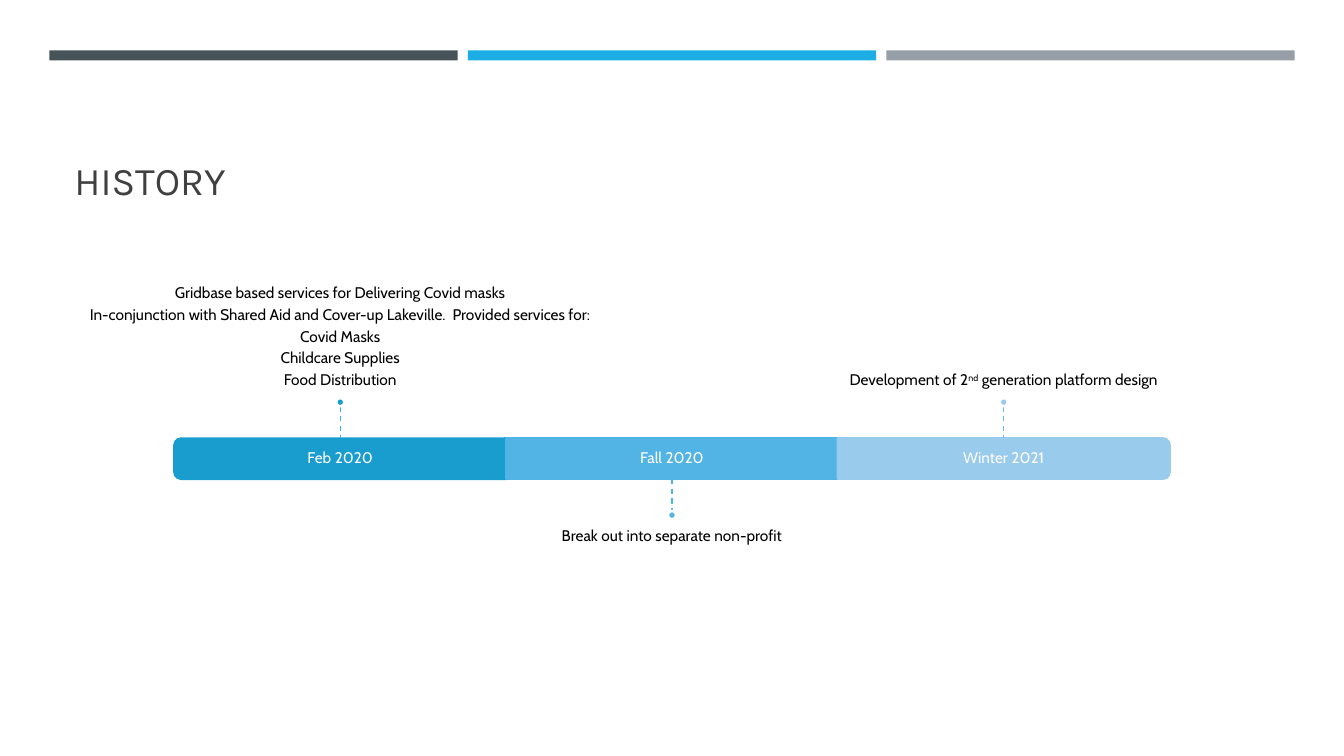
import pptx
import pptx.util
import pptx.dml.color
import pptx.enum.dml
import pptx.enum.shapes
import pptx.enum.text
import pptx.oxml

Inches, Pt = pptx.util.Inches, pptx.util.Pt
RGBColor = pptx.dml.color.RGBColor
PRESET = pptx.enum.shapes.MSO_SHAPE
ALIGN = pptx.enum.text.PP_ALIGN
ANCHOR = pptx.enum.text.MSO_ANCHOR

SLATE = RGBColor(0x46, 0x53, 0x59)
BLUE = RGBColor(0x1C, 0xAD, 0xE4)
GREY = RGBColor(0x96, 0x9F, 0xA7)
TITLE_GREY = RGBColor(0x40, 0x40, 0x40)
BLACK = RGBColor(0, 0, 0)
WHITE = RGBColor(255, 255, 255)
FEB, FALL, WINTER = (RGBColor(0x19, 0x9D, 0xCF), RGBColor(0x52, 0xB3, 0xE5),
                     RGBColor(0x99, 0xCB, 0xEC))
FEB_STEM, FALL_STEM, WINTER_STEM = (RGBColor(0x36, 0xB3, 0xE9), RGBColor(0x48, 0xB8, 0xEC),
                                    RGBColor(0x5A, 0xBE, 0xEF))

deck = pptx.Presentation()
deck.slide_width, deck.slide_height = Inches(13.33), Inches(7.5)
slide = deck.slides.add_slide(deck.slide_layouts[6])


def add_block(preset, left, top, width, height, fill, outline=None):
    block = slide.shapes.add_shape(preset, Inches(left), Inches(top), Inches(width), Inches(height))
    block.shadow.inherit = False
    block.fill.solid()
    block.fill.fore_color.rgb = fill
    if outline is None:
        block.line.fill.background()
    else:
        block.line.color.rgb = outline
        block.line.width = Pt(1.75)
    return block


def add_words(lines, left, top, width, height, anchor, insets, font, size, color, align):
    """Each line is a list of runs; every second run is superscript."""
    frame = slide.shapes.add_textbox(Inches(left), Inches(top), Inches(width), Inches(height)).text_frame
    frame.word_wrap = True
    frame.vertical_anchor = anchor
    frame.margin_left, frame.margin_top, frame.margin_right, frame.margin_bottom = map(Inches, insets)
    for number, pieces in enumerate(lines):
        paragraph = frame.paragraphs[0] if number == 0 else frame.add_paragraph()
        paragraph.alignment = align
        paragraph.line_spacing = 0.9
        paragraph.space_after = Pt(3.7)
        for position, piece in enumerate(pieces):
            run = paragraph.add_run()
            run.text = piece
            run.font.name, run.font.size, run.font.color.rgb = font, Pt(size), color
            if position % 2:
                run._r.get_or_add_rPr().set("baseline", "30000")


# Three bars across the top
for column, color in enumerate((SLATE, BLUE, GREY)):
    add_block(PRESET.RECTANGLE, 0.49 + column * 4.15, 0.5, 4.05, 0.1, color)

# Title
add_words([["HISTORY"]], 0.64, 0.77, 12.06, 1.3, ANCHOR.BOTTOM, (0.1, 0.05, 0.1, 0.05),
          "Karla", 28, TITLE_GREY, ALIGN.LEFT)

# Timeline: equal columns around the slide's centre
COLUMN, BAND_TOP, BAND = 3.29, 4.35, 0.4
BAND_BOTTOM = BAND_TOP + BAND
STEM, DOT = 0.32, 0.08
NOTE_WIDTH, NOTE_HEIGHT = 5.48, 1.39
periods = [
    ("Feb 2020", FEB, FEB_STEM, 270, True,
     [["Gridbase based services for Delivering Covid masks"],
      ["In-conjunction with Shared Aid and Cover-up Lakeville.  Provided services for:"],
      ["Covid Masks"], ["Childcare Supplies"], ["Food Distribution"]]),
    ("Fall 2020", FALL, FALL_STEM, 0, False, [["Break out into separate non-profit"]]),
    ("Winter 2021", WINTER, WINTER_STEM, 90, True,
     [["Development of 2", "nd", " generation platform design"]]),
]
for column, (date, color, stem_color, turn, above, note) in enumerate(periods):
    center = 13.33 / 2 + (column - 1) * COLUMN

    # Band segment, with its outer end rounded at either end of the timeline
    if turn:
        segment = add_block(PRESET.ROUND_2_SAME_RECTANGLE, center - BAND / 2,
                            BAND_TOP + BAND / 2 - COLUMN / 2, BAND, COLUMN, color, color)
        segment.rotation = turn
    else:
        add_block(PRESET.RECTANGLE, center - COLUMN / 2, BAND_TOP, COLUMN, BAND, color, color)
    add_words([[date]], center - COLUMN / 2, BAND_TOP, COLUMN, BAND, ANCHOR.MIDDLE, (0.09,) * 4,
              "Cabin", 11, WHITE, ALIGN.CENTER)

    # Note, above or below the band
    if above:
        stem_start, stem_end = BAND_TOP - STEM, BAND_TOP
        dot_top = stem_start - DOT
        note_top, anchor, insets = dot_top - NOTE_HEIGHT, ANCHOR.BOTTOM, (0, 0, 0, 0.09)
    else:
        stem_start, stem_end = BAND_BOTTOM, BAND_BOTTOM + STEM
        dot_top = stem_end
        note_top, anchor, insets = dot_top + DOT, ANCHOR.TOP, (0, 0.09, 0, 0)
    add_words(note, center - NOTE_WIDTH / 2, note_top, NOTE_WIDTH, NOTE_HEIGHT, anchor, insets,
              "Cabin", 11, BLACK, ALIGN.CENTER)

    # Dashed stem and its dot
    stem = slide.shapes.add_connector(pptx.enum.shapes.MSO_CONNECTOR.STRAIGHT, Inches(center),
                                      Inches(stem_start), Inches(center), Inches(stem_end))
    stem.line.color.rgb = stem_color
    stem.line.width = Pt(1)
    stem.line.dash_style = pptx.enum.dml.MSO_LINE.DASH
    stem._element.spPr.append(pptx.oxml.parse_xml(
        '<a:effectLst xmlns:a="http://schemas.openxmlformats.org/drawingml/2006/main"/>'))
    add_block(PRESET.OVAL, center - DOT / 2, dot_top, DOT, DOT, color, WHITE)

deck.save("out.pptx")
